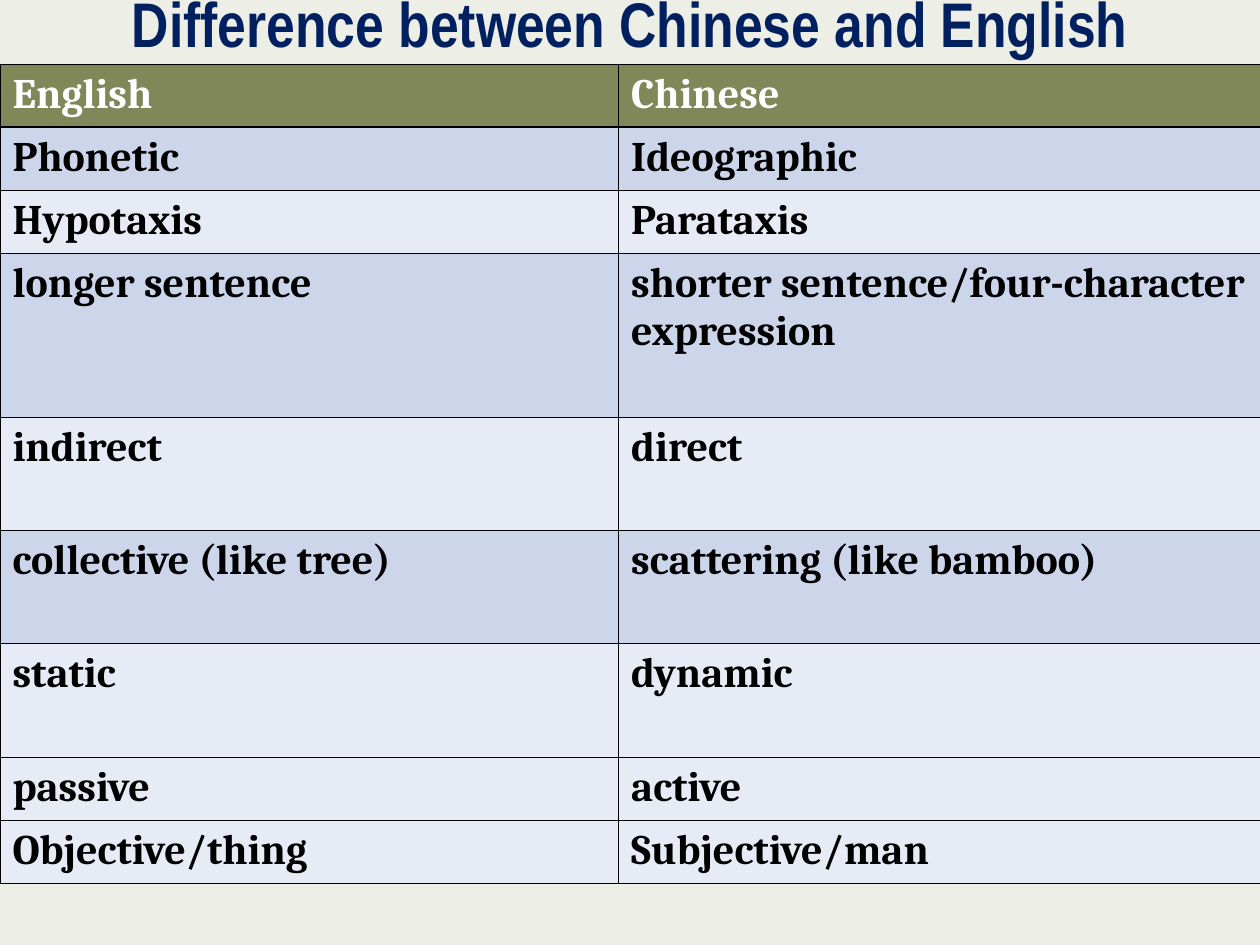
from typing import NamedTuple

from lxml.etree import SubElement
from pptx import Presentation
from pptx.dml.color import RGBColor
from pptx.enum.text import PP_ALIGN as Align
from pptx.oxml.ns import qn
from pptx.util import Inches, Pt

HEADER_FILL = "808759"
DARK_BAND = "CCD5EA"
LIGHT_BAND = "E7EBF5"
BLACK = "000000"
THIN, THICK = 0.45, 1.47


class Contrast(NamedTuple):
    english: str
    chinese: str
    height: float
    fill: str
    color: str = BLACK


CONTRASTS = [
    Contrast("English", "Chinese", 0.5, HEADER_FILL, "FFFFFF"),
    Contrast("Phonetic", "Ideographic", 0.5, DARK_BAND),
    Contrast("Hypotaxis", "Parataxis", 0.5, LIGHT_BAND),
    Contrast("longer sentence", "shorter sentence/four-character expression", 1.3, DARK_BAND),
    Contrast("indirect", "direct", 0.9, LIGHT_BAND),
    Contrast("collective (like tree)", "scattering (like bamboo)", 0.9, DARK_BAND),
    Contrast("static", "dynamic", 0.9, LIGHT_BAND),
    Contrast("passive", "active", 0.5, LIGHT_BAND),
    Contrast("Objective/thing", "Subjective/man", 0.5, LIGHT_BAND),
]
COLUMN_WIDTHS = [4.91, 5.09]


def rgb(value: str) -> RGBColor:
    return RGBColor.from_string(value)


def set_font(paragraph, name: str, size: float, color: str) -> None:
    for run in paragraph.runs:
        run.font.name = name
        run.font.size = Pt(size)
        run.font.bold = True
        run.font.color.rgb = rgb(color)


def add_borders(cell, top: float, bottom: float) -> None:
    """Insert the border lines ahead of the cell fill, as the schema requires."""
    properties = cell._tc.get_or_add_tcPr()
    widths = {"a:lnL": THIN, "a:lnR": THIN, "a:lnT": top, "a:lnB": bottom}
    for position, (side, width) in enumerate(widths.items()):
        line = SubElement(properties, qn(side), w=str(int(Pt(width))))
        SubElement(SubElement(line, qn("a:solidFill")), qn("a:srgbClr"), val=BLACK)
        properties.insert(position, line)


def add_contrast_table(slide) -> None:
    table = slide.shapes.add_table(
        len(CONTRASTS), len(COLUMN_WIDTHS), Inches(0), Inches(0.51),
        Inches(sum(COLUMN_WIDTHS)), Inches(sum(c.height for c in CONTRASTS)),
    ).table
    for column, width in zip(table.columns, COLUMN_WIDTHS):
        column.width = Inches(width)

    for index, (row, contrast) in enumerate(zip(table.rows, CONTRASTS)):
        row.height = Inches(contrast.height)
        # The heavy rule lies between the header and the first pair
        top = THICK if index == 1 else THIN
        bottom = THICK if index == 0 else THIN
        for cell, term in zip(row.cells, (contrast.english, contrast.chinese)):
            cell.text_frame.text = term
            set_font(cell.text_frame.paragraphs[0], "Cambria", 24, contrast.color)
            cell.fill.solid()
            cell.fill.fore_color.rgb = rgb(contrast.fill)
            add_borders(cell, top, bottom)


def add_title(slide) -> None:
    frame = slide.shapes.add_textbox(
        Inches(0), Inches(-0.17), Inches(10), Inches(1.25)
    ).text_frame
    frame.word_wrap = True
    frame.text = "Difference between Chinese and English"
    heading = frame.paragraphs[0]
    heading.alignment = Align.CENTER
    set_font(heading, "Arial Narrow", 36, "002060")


def main() -> None:
    deck = Presentation()
    deck.slide_width, deck.slide_height = Inches(10), Inches(7.5)
    slide = deck.slides.add_slide(deck.slide_layouts[6])

    # Background
    slide.background.fill.solid()
    slide.background.fill.fore_color.rgb = rgb("EDEEE5")

    # Comparison, then the title over it
    add_contrast_table(slide)
    add_title(slide)
    deck.save("out.pptx")


if __name__ == "__main__":
    main()
